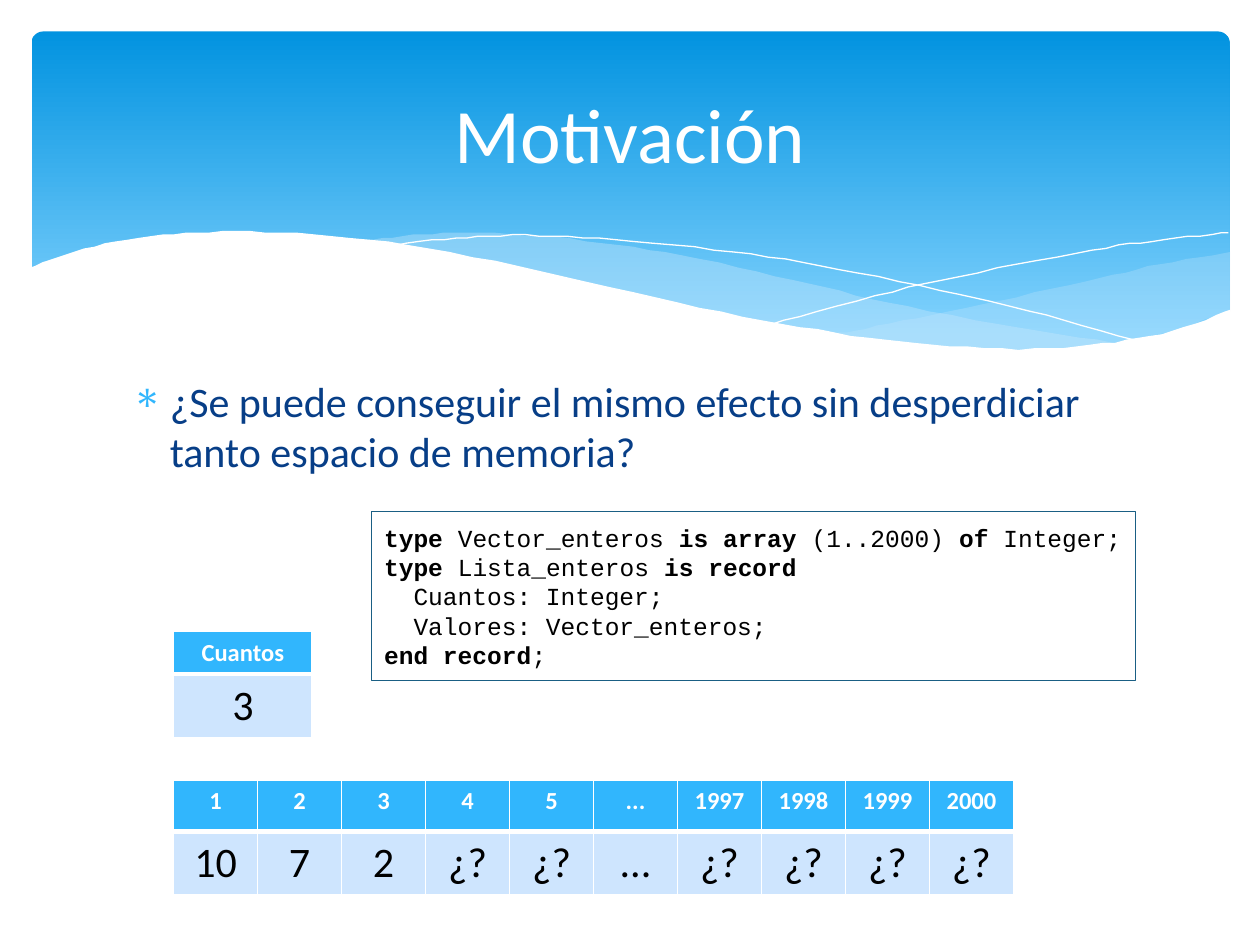
from lxml import etree
from pptx import Presentation
from pptx.dml.color import RGBColor
from pptx.enum import shapes, text
from pptx.oxml import parse_xml
from pptx.oxml.ns import nsdecls, qn
from pptx.util import Pt

WHITE = RGBColor(0xFF, 0xFF, 0xFF)
BLACK = RGBColor(0, 0, 0)
BLUE_TOP = RGBColor(0x02, 0x93, 0xE0)
BLUE_LOW = RGBColor(0x83, 0xD3, 0xFE)
MIST = RGBColor(0xC6, 0xE7, 0xFC)
NAVY = RGBColor(0x07, 0x3E, 0x87)
SKY = RGBColor(0x31, 0xB6, 0xFD)
PALE = RGBColor(0xCE, 0xE5, 0xFE)
BOX_LINE = RGBColor(0x1A, 0x5F, 0x84)


def add_run(p, txt, size, color, bold=False, font="Calibri"):
    r = p.add_run()
    r.text = txt
    r.font.name, r.font.size, r.font.bold = font, Pt(size), bold
    r.font.color.rgb = color


def smooth(knots, steps=6):
    pts = [knots[0]]
    ext = [knots[0], *knots, knots[-1]]
    for a, b, c, d in zip(ext, ext[1:], ext[2:], ext[3:]):
        for i in range(1, steps + 1):
            t = i / steps
            pts.append(tuple(
                0.5 * (2 * q + (m - k) * t + (2 * k - 5 * q + 4 * m - n) * t**2
                       + (3 * q - k - 3 * m + n) * t**3)
                for k, q, m, n in zip(a, b, c, d)))
    return pts


prs = Presentation()
prs.slide_width, prs.slide_height = Pt(720), Pt(540)
s = prs.slides.add_slide(prs.slide_layouts[5])

sp = s.shapes.add_shape(shapes.MSO_SHAPE.ROUNDED_RECTANGLE, Pt(18), Pt(18), Pt(684.7), Pt(194.4))
sp.adjustments[0] = 0.034
sp.shadow.inherit = False
sp.line.fill.background()
sp.fill.gradient()
sp.fill.gradient_angle = 270
for stop, color, pos in zip(sp.fill.gradient_stops, (BLUE_TOP, BLUE_LOW), (0, 0.9)):
    stop.color.rgb, stop.position = color, pos

right_swell = smooth([(702.7, 144), (663, 151), (620, 161), (561, 174), (508, 185), (476, 191)])
right_swell += smooth([(476, 191), (508, 195), (554, 199.5), (593, 200), (634, 196.5),
                       (668, 189.5), (702.7, 178)])
wide_swell = smooth([(643, 196.5), (581, 187), (508, 173), (453, 160), (390, 146),
                     (335, 137.5), (274, 133), (236, 134.5), (206, 137.5)])
wide_swell += smooth([(206, 137.5), (261, 146), (323, 160), (382, 173), (445, 186),
                      (500, 194.5), (548, 199.5), (589, 200), (617, 199.5), (643, 196.5)])
falling_line = smooth([(222.5, 140.5), (261, 136), (300, 134.5), (352, 137), (419, 144),
                       (479, 153.5), (547, 168), (598, 180.5), (653, 196)])
rising_line = smooth([(441.5, 185), (500, 169), (559, 155.5), (623.5, 143), (665, 137), (702, 133)])
white_wave = smooth([(703.4, 177), (670, 189), (630, 196.5), (582, 199.5), (523, 196),
                     (467, 188.5), (400, 176), (322, 158), (245, 142), (180, 134),
                     (127, 132.5), (86, 135), (48, 142), (16.6, 153.4)])
white_wave += [(16.6, 237), (703.4, 237)]

for pts, fill, alpha in ((right_swell, MIST, 29), (wide_swell, MIST, 40),
                         (falling_line, None, 100), (rising_line, None, 100),
                         (white_wave, WHITE, 100)):
    fb = s.shapes.build_freeform(*pts[0], scale=Pt(1))
    fb.add_line_segments(pts[1:], close=fill is not None)
    sp = fb.convert_to_shape()
    sp.shadow.inherit = False
    if fill is None:
        sp.fill.background()
        sp.line.color.rgb, sp.line.width = WHITE, Pt(0)
        continue
    sp.line.fill.background()
    sp.fill.solid()
    sp.fill.fore_color.rgb = fill
    if alpha < 100:
        clr = sp.element.spPr.find(qn("a:solidFill"))[0]
        etree.SubElement(clr, qn("a:alpha")).set("val", str(alpha * 1000))

tb = s.shapes.add_textbox(Pt(68.4), Pt(211), Pt(583.2), Pt(271.4))
tb.text_frame.word_wrap = True
p = tb.text_frame.paragraphs[0]
p.space_before = Pt(4.8)
pPr = p._p.get_or_add_pPr()
pPr.set("marL", str(Pt(21.6)))
pPr.set("indent", str(-Pt(21.6)))
pPr.append(parse_xml(f'<a:buClr {nsdecls("a")}><a:srgbClr val="{SKY}"/></a:buClr>'))
pPr.append(parse_xml(f'<a:buChar {nsdecls("a")} char="∗"/>'))
add_run(p, "¿Se puede conseguir el mismo efecto sin desperdiciar tanto espacio de memoria?", 24, NAVY)

title = s.shapes.title
title.left, title.top, title.width, title.height = Pt(36), Pt(26.6), Pt(648), Pt(98.6)
tf = title.text_frame
tf.vertical_anchor = text.MSO_ANCHOR.MIDDLE
p = tf.paragraphs[0]
p.alignment = text.PP_ALIGN.CENTER
add_run(p, "Motivación", 44, WHITE)
s.shapes.element.append(title.element)

sp = s.shapes.add_shape(shapes.MSO_SHAPE.RECTANGLE, Pt(212.4), Pt(292.4), Pt(436.4), Pt(96.4))
sp.shadow.inherit = False
sp.fill.background()
sp.line.color.rgb, sp.line.width = BOX_LINE, Pt(0.75)
tf = sp.text_frame
tf.word_wrap = True
tf.vertical_anchor = text.MSO_ANCHOR.MIDDLE
code = [
    [("type ", True), ("Vector_enteros ", False), ("is array", True), (" (1..2000) ", False),
     ("of ", True), ("Integer;", False)],
    [("type ", True), ("Lista_enteros ", False), ("is record", True)],
    [("  Cuantos: Integer;", False)],
    [("  Valores: Vector_enteros;", False)],
    [("end record", True), (";", False)],
]
for i, line in enumerate(code):
    p = tf.add_paragraph() if i else tf.paragraphs[0]
    p.alignment = text.PP_ALIGN.LEFT
    for txt, bold in line:
        add_run(p, txt, 14, BLACK, bold, "Courier New")

vector = [["1", "2", "3", "4", "5", "...", "1997", "1998", "1999", "2000"],
          ["10", "7", "2", "¿?", "¿?", "...", "¿?", "¿?", "¿?", "¿?"]]
for rows, top, col_w, heights in ((vector, 445.8, 48, (29.2, 36.4)),
                                  ([["Cuantos"], ["3"]], 360.8, 79.2, (24.3, 36.4))):
    n = len(rows[0])
    tbl = s.shapes.add_table(2, n, Pt(99.2), Pt(top), Pt(col_w * n), Pt(sum(heights))).table
    for col in tbl.columns:
        col.width = Pt(col_w)
    styles = ((SKY, WHITE, 14, True), (PALE, BLACK, 24, False))
    for i, (fill, color, size, bold) in enumerate(styles):
        tbl.rows[i].height = Pt(heights[i])
        for j, txt in enumerate(rows[i]):
            cell = tbl.cell(i, j)
            tcPr = cell._tc.get_or_add_tcPr()
            for side in "LRTB":
                width = Pt(3 if side == "BT"[i] else 1)
                tcPr.append(parse_xml(
                    f'<a:ln{side} {nsdecls("a")} w="{width}"><a:solidFill>'
                    f'<a:srgbClr val="{WHITE}"/></a:solidFill></a:ln{side}>'))
            cell.fill.solid()
            cell.fill.fore_color.rgb = fill
            p = cell.text_frame.paragraphs[0]
            p.alignment = text.PP_ALIGN.CENTER
            add_run(p, txt, size, color, bold)

prs.save("out.pptx")
